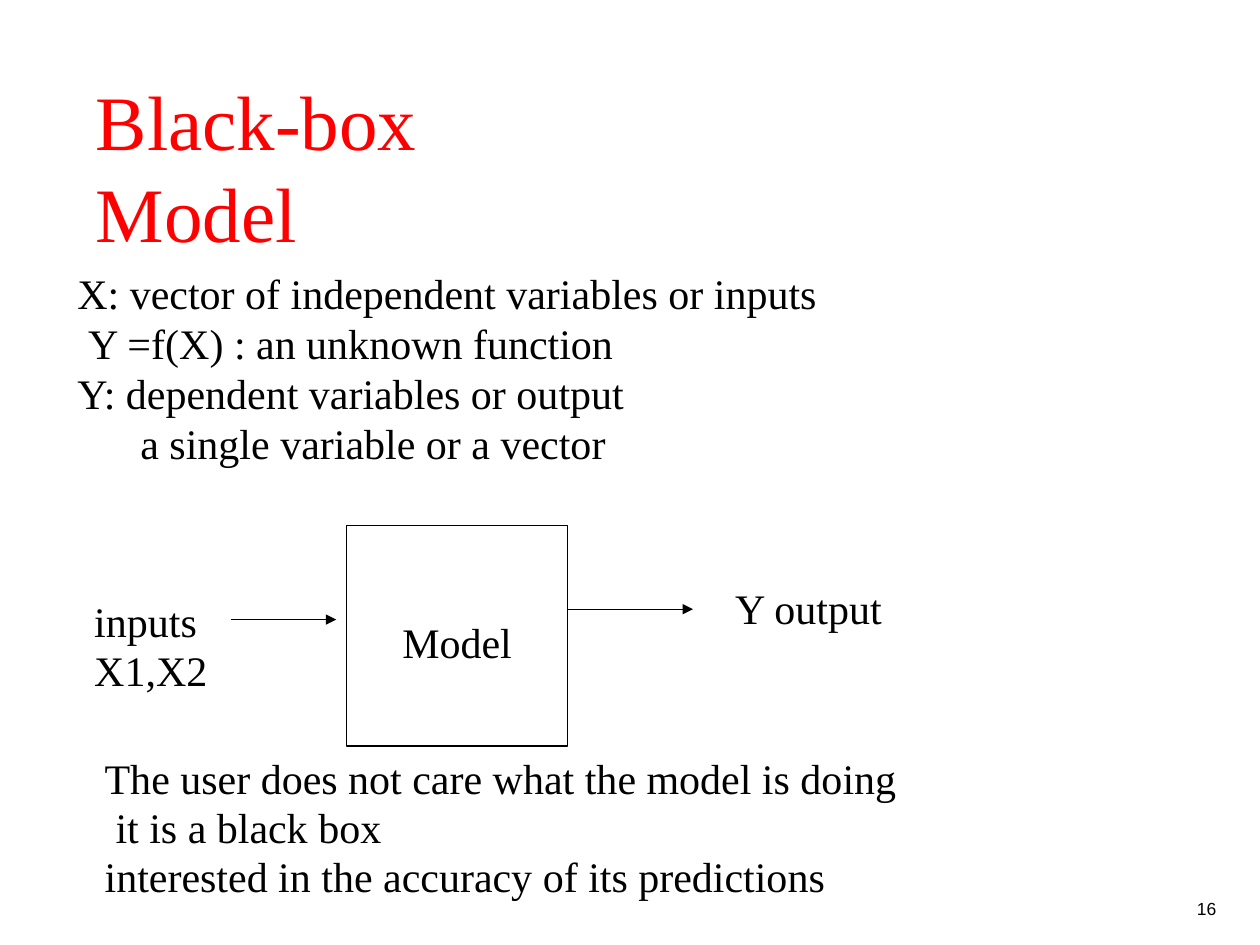
from dataclasses import dataclass
from typing import Any

from lxml.etree import SubElement
from pptx import Presentation
from pptx.dml.color import RGBColor
from pptx.enum.shapes import MSO_CONNECTOR, MSO_SHAPE
from pptx.enum.text import MSO_ANCHOR, PP_ALIGN
from pptx.oxml.ns import qn
from pptx.util import Cm, Pt


def color(value):
    return RGBColor.from_string(value)


@dataclass
class SlideWriter:
    page: Any
    font: str = "Times New Roman"
    size: float = 24
    ink: str = "000000"
    accent: str = "FF0000"

    def style(self, para, size=None, ink=None, font=None):
        para.font.name = font or self.font
        para.font.size = Pt(size or self.size)
        para.font.color.rgb = color(ink or self.ink)

    def frame(self, shape, top=0.0):
        frame = shape.text_frame
        frame.word_wrap = True
        frame.margin_left = frame.margin_right = frame.margin_bottom = 0
        frame.margin_top = Cm(top)
        frame.vertical_anchor = MSO_ANCHOR.TOP
        return frame

    def title(self, text, left, top, width, height):
        shape = self.page.shapes.title
        shape.left, shape.top = Cm(left), Cm(top)
        shape.width, shape.height = Cm(width), Cm(height)
        frame = self.frame(shape, 0.06)
        frame.text = text
        para = frame.paragraphs[0]
        para.alignment = PP_ALIGN.LEFT
        self.style(para, 44, self.accent)

    def text(self, lines, left, top, width, height, leading=28, inset=0.19, **look):
        """Write lines given as (text, indent in cm)."""
        box = self.page.shapes.add_textbox(Cm(left), Cm(top), Cm(width), Cm(height))
        frame = self.frame(box, inset)
        for number, (words, indent) in enumerate(lines):
            para = frame.add_paragraph() if number else frame.paragraphs[0]
            para.text = words
            para.line_spacing = Pt(leading)
            if indent:
                para._p.get_or_add_pPr().set("marL", str(Cm(indent)))
            self.style(para, **look)

    def block(self, text, left, top, width, height):
        shape = self.page.shapes.add_shape(
            MSO_SHAPE.RECTANGLE, Cm(left), Cm(top), Cm(width), Cm(height))
        shape.shadow.inherit = False
        shape.fill.background()
        shape.line.color.rgb = color(self.ink)
        shape.line.width = Pt(0.75)
        frame = self.frame(shape, 0.25)
        frame.vertical_anchor = MSO_ANCHOR.MIDDLE
        frame.text = text
        frame.paragraphs[0].alignment = PP_ALIGN.CENTER
        self.style(frame.paragraphs[0])

    def arrow(self, start, end, height):
        line = self.page.shapes.add_connector(
            MSO_CONNECTOR.STRAIGHT, Cm(start), Cm(height), Cm(end), Cm(height))
        line.line.color.rgb = color(self.ink)
        line.line.width = Pt(0.75)
        SubElement(line.line._get_or_add_ln(), qn("a:tailEnd"), type="triangle")
        SubElement(line._element.spPr, qn("a:effectLst"))


def main():
    deck = Presentation()
    deck.slide_width, deck.slide_height = Cm(25.4), Cm(19.05)
    writer = SlideWriter(deck.slides.add_slide(deck.slide_layouts[5]))

    # Title and definitions
    writer.title("Black-box\vModel", 1.93, 1.42, 10.95, 3.5)
    writer.text([
        ("X: vector of independent variables or inputs", 0),
        ("Y =f(X) : an unknown function", 0.22),
        ("Y: dependent variables or output", 0),
        ("a single variable or a vector", 1.27),
    ], 1.56, 5.21, 16, 4.11, leading=28.6)

    # Model diagram
    writer.block("Model", 6.99, 10.59, 4.45, 4.45)
    writer.arrow(4.65, 6.78, 12.49)
    writer.arrow(11.43, 13.97, 12.28)
    writer.text([("inputs", 0), ("X1,X2", 0)], 1.9, 11.84, 2.5, 2.08)
    writer.text([("Y output", 0)], 14.82, 11.63, 3.2, 1.09, inset=0.15)

    # Conclusion
    writer.text([
        ("The user does not care what the model is doing", 0),
        ("it is a black box", 0.22),
        ("interested in the accuracy of its predictions", 0),
    ], 2.11, 15.01, 16.8, 3.1)

    # Page number
    writer.text([("16", 0)], 24.13, 18.16, 0.6, 0.43,
                leading=10.7, inset=0, size=10, font="Arial")

    deck.save("out.pptx")


if __name__ == "__main__":
    main()
